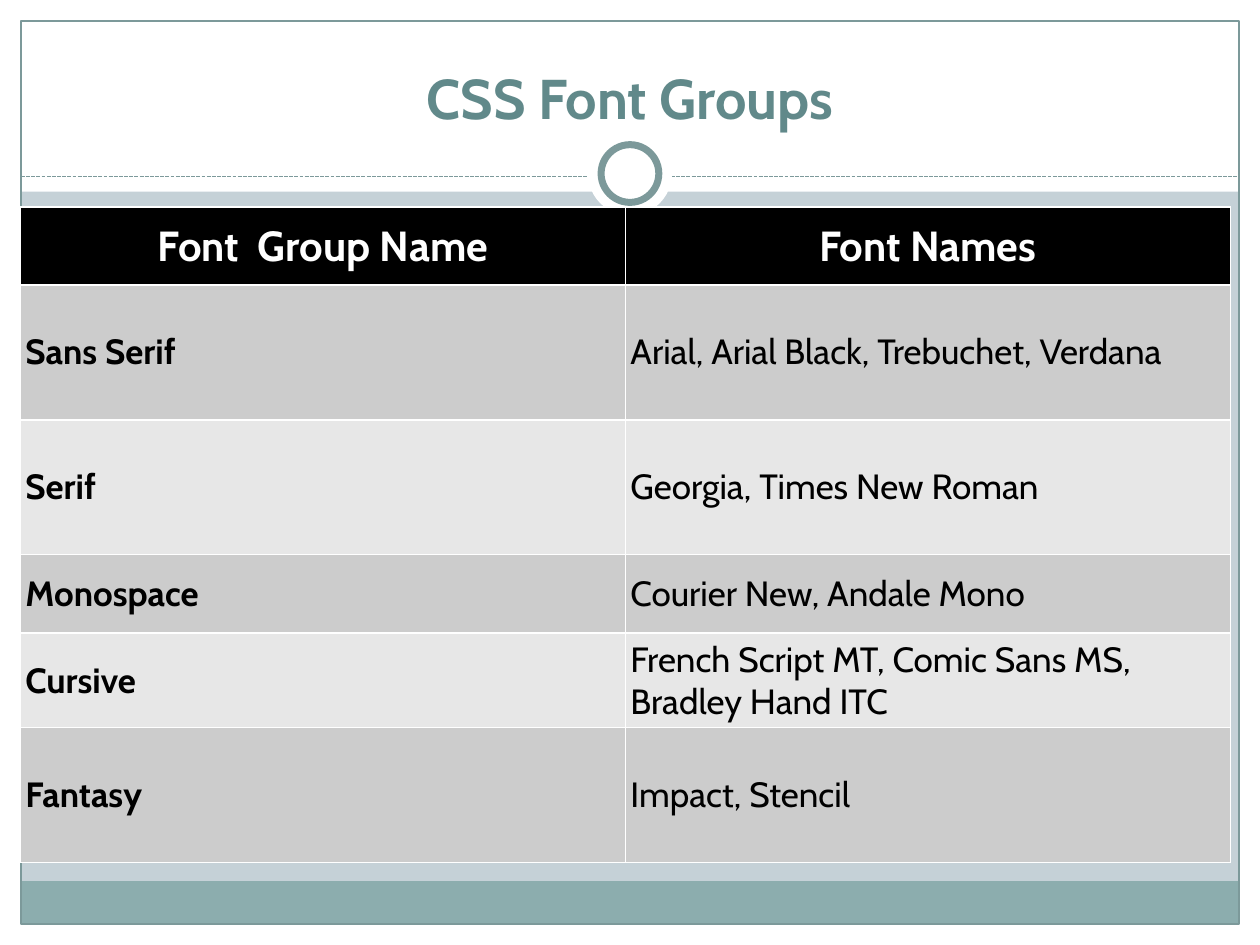
from pptx import Presentation
from pptx.dml.color import RGBColor
from pptx.enum.dml import MSO_LINE
from pptx.enum.shapes import MSO_CONNECTOR, MSO_SHAPE
from pptx.enum.text import MSO_ANCHOR, PP_ALIGN
from pptx.oxml.ns import qn
from pptx.util import Pt
from lxml import etree

WHITE = RGBColor(0xFF, 0xFF, 0xFF)
BLACK = RGBColor(0, 0, 0)
BACKGROUND = RGBColor(0xC5, 0xD1, 0xD7)
FOOTER = RGBColor(0x8C, 0xAD, 0xAE)
OUTLINE = RGBColor(0x7C, 0x99, 0x9A)
TITLE = RGBColor(0x61, 0x89, 0x8A)
BANDS = [RGBColor(0xCC, 0xCC, 0xCC), RGBColor(0xE7, 0xE7, 0xE7)]

FONT = "Cabin"
WIDTH, HEIGHT, MARGIN = 720, 540, 12
INNER_WIDTH = WIDTH - 2 * MARGIN
RULE_Y = 100.8
RING_Y = 99.2

HEADERS = ["Font  Group Name", "Font Names"]
FONT_GROUPS = [
    ("Sans Serif", "Arial, Arial Black, Trebuchet, Verdana", 77),
    ("Serif", "Georgia, Times New Roman", 77),
    ("Monospace", "Courier New, Andale Mono", 45),
    ("Cursive", "French Script MT, Comic Sans MS, Bradley Hand ITC", 45),
    ("Fantasy", "Impact, Stencil", 77),
]


def add_shape(s, kind, x, y, w, h, fill=None, line=None, weight=0.75):
    sp = s.shapes.add_shape(kind, Pt(x), Pt(y), Pt(w), Pt(h))
    sp.shadow.inherit = False
    if fill is None:
        sp.fill.background()
    else:
        sp.fill.solid()
        sp.fill.fore_color.rgb = fill
    if line is None:
        sp.line.fill.background()
    else:
        sp.line.color.rgb = line
        sp.line.width = Pt(weight)


def add_circle(s, diameter, line=None, weight=0.75):
    x, y = (WIDTH - diameter) / 2, RING_Y - diameter / 2
    add_shape(s, MSO_SHAPE.OVAL, x, y, diameter, diameter, WHITE, line, weight)


def add_dashed_rule(s):
    rule = s.shapes.add_connector(
        MSO_CONNECTOR.STRAIGHT,
        Pt(MARGIN), Pt(RULE_Y), Pt(WIDTH - MARGIN), Pt(RULE_Y))
    rule.line.color.rgb = OUTLINE
    rule.line.width = Pt(0.75)
    rule.line.dash_style = MSO_LINE.SQUARE_DOT
    rule.line.dash_style = MSO_LINE.SQUARE_DOT
    etree.SubElement(rule._element.spPr, qn("a:effectLst"))


def add_frame(s):
    rect = MSO_SHAPE.RECTANGLE
    for x, y, w, h in [
        (0, HEIGHT - MARGIN, WIDTH, MARGIN),
        (0, 0, WIDTH, 109.5),
        (0, 0, MARGIN, HEIGHT),
        (WIDTH - MARGIN, 0, MARGIN, HEIGHT),
    ]:
        add_shape(s, rect, x, y, w, h, WHITE)
    add_shape(s, rect, MARGIN, 503.5, INNER_WIDTH, 24.5, FOOTER)
    add_shape(s, rect, MARGIN, MARGIN, INNER_WIDTH, HEIGHT - 2 * MARGIN,
              line=OUTLINE)
    add_dashed_rule(s)
    add_circle(s, 48)
    add_circle(s, 33, OUTLINE, 4)


def set_text(tf, text, size, color, bold, align):
    p = tf.paragraphs[0]
    p.text = text
    p.alignment = align
    p.font.name = FONT
    p.font.size = Pt(size)
    p.font.bold = bold
    p.font.color.rgb = color


def add_title(s, text):
    tf = s.shapes.add_textbox(Pt(24), Pt(18), Pt(672), Pt(60)).text_frame
    tf.word_wrap = True
    tf.vertical_anchor = MSO_ANCHOR.BOTTOM
    set_text(tf, text, 32, TITLE, True, PP_ALIGN.CENTER)


def fill_cell(cell, text, fill, size, color, bold, align):
    cell.fill.solid()
    cell.fill.fore_color.rgb = fill
    cell.vertical_anchor = MSO_ANCHOR.MIDDLE
    set_text(cell.text_frame, text, size, color, bold, align)


def add_font_table(s):
    heights = [44.6] + [height for _, _, height in FONT_GROUPS]
    table = s.shapes.add_table(
        len(heights), len(HEADERS),
        Pt(11.5), Pt(118.3), Pt(691.6), Pt(sum(heights))).table
    for row, height in zip(table.rows, heights):
        row.height = Pt(height)
    for col, text in enumerate(HEADERS):
        fill_cell(table.cell(0, col), text, BLACK, 24, WHITE, True,
                  PP_ALIGN.CENTER)
    for i, (group, names, _) in enumerate(FONT_GROUPS):
        for col, text in enumerate((group, names)):
            cell = table.cell(i + 1, col)
            cell.margin_left = cell.margin_right = Pt(3)
            cell.margin_top = cell.margin_bottom = Pt(3)
            fill_cell(cell, text, BANDS[i % 2], 20, BLACK, col == 0,
                      PP_ALIGN.LEFT)


def main():
    prs = Presentation()
    prs.slide_width, prs.slide_height = Pt(WIDTH), Pt(HEIGHT)
    s = prs.slides.add_slide(prs.slide_layouts[6])
    s.background.fill.solid()
    s.background.fill.fore_color.rgb = BACKGROUND
    add_frame(s)
    add_title(s, "CSS Font Groups")
    add_font_table(s)
    prs.save("out.pptx")


if __name__ == "__main__":
    main()
